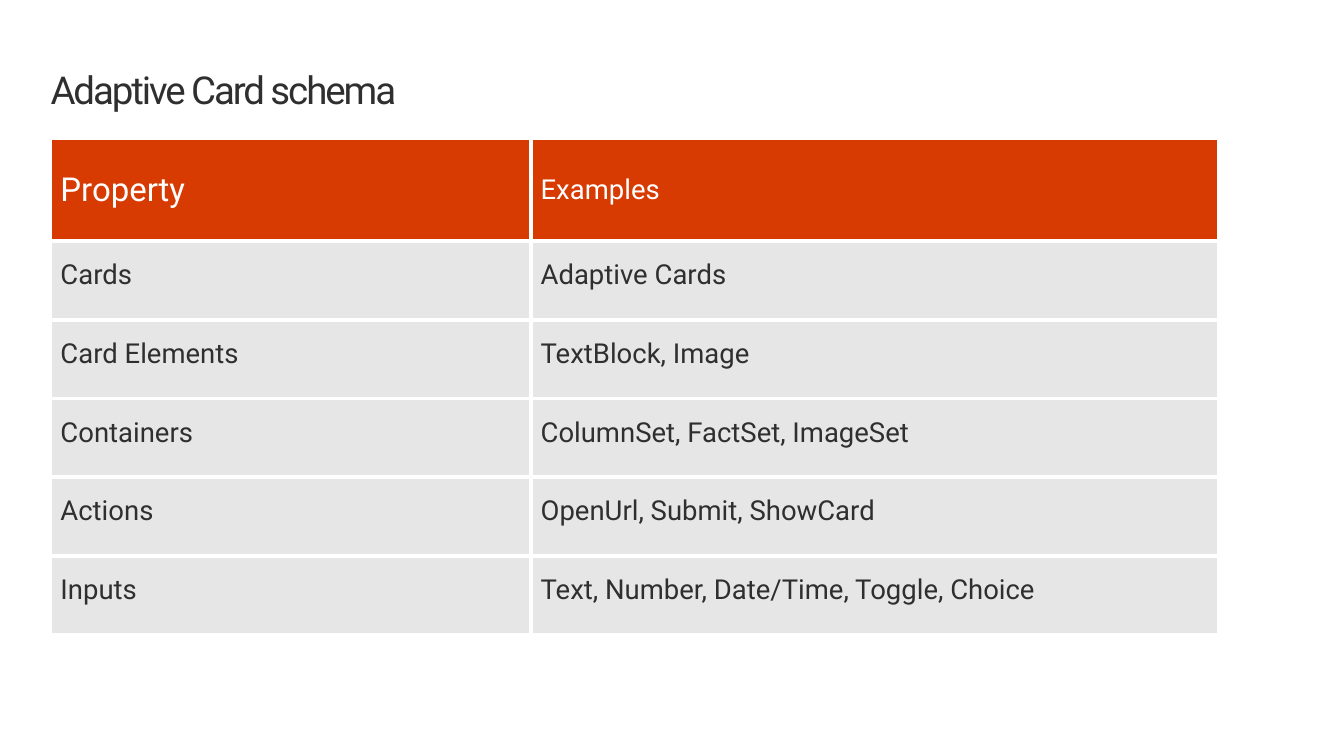
from lxml import etree
from pptx import Presentation, util as u
from pptx.dml.color import RGBColor
from pptx.enum import text
from pptx.oxml.ns import qn

COLORS = {"header": "D83B01", "row": "E6E6E6", "ink": "2F2F2F", "white": "FFFFFF"}
FONT = "Roboto"
SCHEMA = [
    ("Property", "Examples"),
    ("Cards", "Adaptive Cards"),
    ("Card Elements", "TextBlock, Image"),
    ("Containers", "ColumnSet, FactSet, ImageSet"),
    ("Actions", "OpenUrl, Submit, ShowCard"),
    ("Inputs", "Text, Number, Date/Time, Toggle, Choice"),
]


def style_run(r, size, color):
    """Set the font, size and colour of a run."""
    r.font.name = FONT
    r.font.size = u.Pt(size)
    r.font.bold = False
    r.font.color.rgb = RGBColor.from_string(COLORS[color])


def add_borders(cell, color, width):
    """Draw a solid border on every side of a cell."""
    tc_pr = cell._tc.get_or_add_tcPr()
    for side in ("a:lnL", "a:lnR", "a:lnT", "a:lnB"):
        ln = etree.SubElement(tc_pr, qn(side), w=str(u.Pt(width)))
        fill = etree.SubElement(ln, qn("a:solidFill"))
        etree.SubElement(fill, qn("a:srgbClr"), val=COLORS[color])


def add_title(slide, left, top, width, height):
    """Place the slide title in the given box."""
    tf = slide.shapes.add_textbox(left, top, width, height).text_frame
    tf.word_wrap = True
    tf.margin_left = tf.margin_top = tf.margin_right = tf.margin_bottom = 0
    p = tf.paragraphs[0]
    p.text = "Adaptive Card schema"
    p.line_spacing = u.Pt(32)
    r = p.runs[0]
    style_run(r, 28, "ink")
    r.font._element.set("spc", "-150")


def fill_cell(cell, value, size, ink, fill, spacing):
    """Write one table cell with its fill and borders."""
    add_borders(cell, "white", 3)
    cell.fill.solid()
    cell.fill.fore_color.rgb = RGBColor.from_string(COLORS[fill])
    cell.vertical_anchor = text.MSO_ANCHOR.MIDDLE
    p = cell.text_frame.paragraphs[0]
    p.text = value
    p.line_spacing = spacing
    style_run(p.runs[0], size, ink)


def add_schema_table(slide, left, top, width, height):
    """Place the property table in the given box."""
    table = slide.shapes.add_table(len(SCHEMA), 2, left, top, width, height).table
    table.columns[0].width = u.Cm(12.34)
    table.columns[1].width = width - u.Cm(12.34)
    header_height = u.Cm(2.64)
    for i, values in enumerate(SCHEMA):
        header = i == 0
        table.rows[i].height = (
            header_height if header else (height - header_height) // (len(SCHEMA) - 1)
        )
        for j, value in enumerate(values):
            cell = table.cell(i, j)
            if header:
                fill_cell(cell, value, 20 if j else 24, "white", "header", None)
            else:
                fill_cell(cell, value, 20, "ink", "row", u.Pt(16))


def main():
    """Build the slide and save it."""
    prs = Presentation()
    prs.slide_width, prs.slide_height = u.Cm(34.54), u.Cm(19.43)
    slide = prs.slides.add_slide(prs.slide_layouts[6])
    left = u.Cm(1.3)
    add_title(slide, left, u.Cm(1.75), u.Cm(32.03), u.Cm(1.14))
    add_schema_table(slide, left, u.Cm(3.56), u.Cm(30.02), u.Cm(12.75))
    prs.save("out.pptx")


if __name__ == "__main__":
    main()
